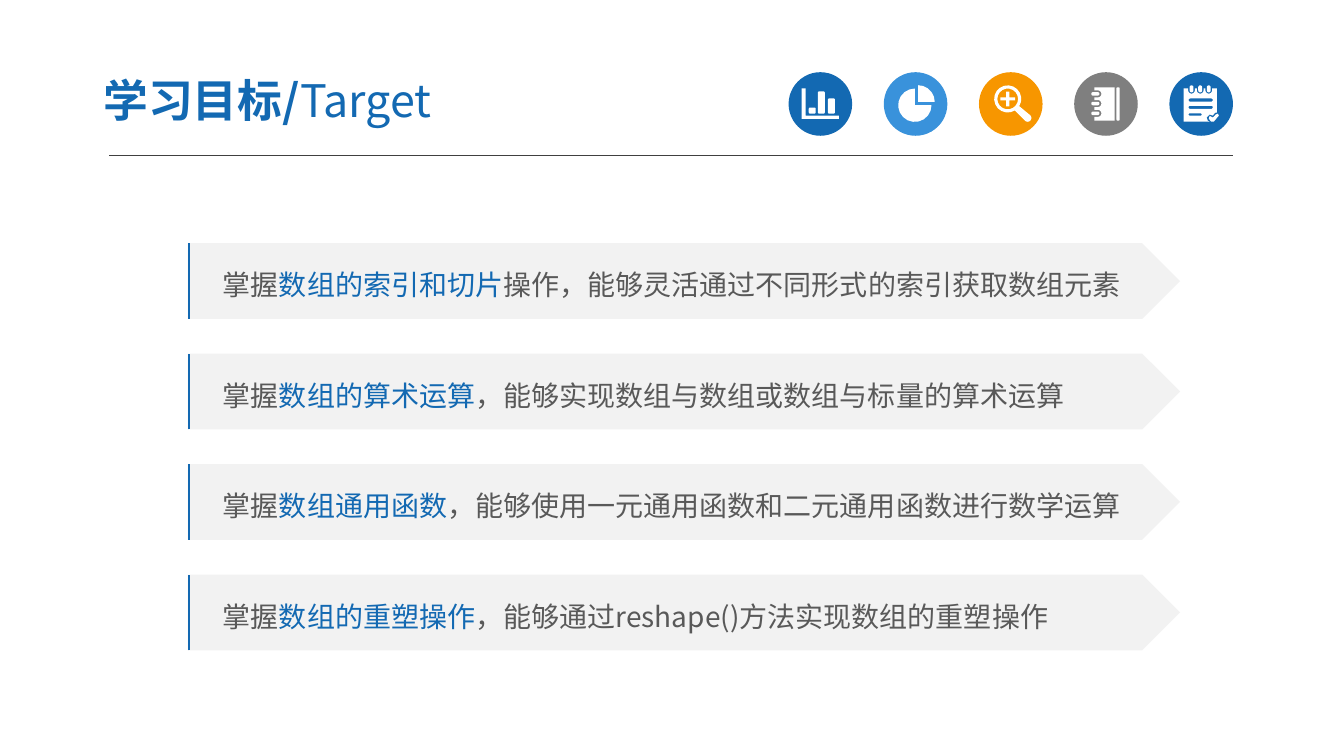
import math
import pptx
import pptx.util
import pptx.dml.color
import pptx.enum.shapes
import pptx.enum.text
import pptx.oxml.ns
import lxml.etree
from dataclasses import dataclass

Pt = pptx.util.Pt
SHAPE = pptx.enum.shapes.MSO_SHAPE
ALIGN = pptx.enum.text.PP_ALIGN
ANCHOR = pptx.enum.text.MSO_ANCHOR
color = pptx.dml.color.RGBColor.from_string


@dataclass(frozen=True)
class Theme:
    font: str = "Noto Sans CJK SC"
    title_size: int = 32
    body_size: int = 20
    blue: str = "1369B2"
    light_blue: str = "3992DB"
    orange: str = "F79600"
    gray: str = "7F7F7F"
    band: str = "F2F2F2"
    text: str = "595959"
    rule: str = "404040"
    white: str = "FFFFFF"


theme = Theme()


def arc(center_x, center_y, radius, start, end):
    """Points along a circle, in degrees clockwise from the right."""
    steps = max(2, math.ceil(abs(end - start) / 20))
    angles = [math.radians(start + (end - start) * step / steps) for step in range(steps + 1)]
    return [(center_x + radius * math.cos(angle), center_y + radius * math.sin(angle))
            for angle in angles]


def bar(left, top, width, height, radius):
    """Outline of a rounded rectangle."""
    near_x, far_x = left + radius, left + width - radius
    near_y, far_y = top + radius, top + height - radius
    return (arc(near_x, near_y, radius, 180, 270) + arc(far_x, near_y, radius, 270, 360)
            + arc(far_x, far_y, radius, 0, 90) + arc(near_x, far_y, radius, 90, 180))


presentation = pptx.Presentation()
presentation.slide_width, presentation.slide_height = Pt(960), Pt(540)
slide = presentation.slides.add_slide(presentation.slide_layouts[5])
filled_shapes = []

# Title
title = slide.shapes.title
title_box = {"left": 64.4, "top": 45.4, "width": 376, "height": 51.8}
for name, value in title_box.items():
    setattr(title, name, Pt(value))
title_frame = {
    "margin_left": Pt(9.4), "margin_right": Pt(9.4),
    "margin_top": Pt(5), "margin_bottom": Pt(5),
    "vertical_anchor": ANCHOR.MIDDLE, "word_wrap": True,
    "auto_size": pptx.enum.text.MSO_AUTO_SIZE.NONE,
}
for name, value in title_frame.items():
    setattr(title.text_frame, name, value)
heading = title.text_frame.paragraphs[0]
heading.alignment = ALIGN.LEFT
runs = [
    (heading, "学习目标/", theme.title_size, theme.blue, True),
    (heading, "Target", theme.title_size, theme.blue, False),
]

# Icon outlines, measured from the corner of the disc; an outline inside another is a hole
chart = [
    [(9.4, 11.5), (12.1, 11.5), (12.1, 31), (36, 31), (36, 33.3), (9.4, 33.3)],
    bar(14.4, 25.2, 5, 4.4, 1),
    bar(20.9, 13.7, 5, 15.9, 1),
    bar(28.1, 18.7, 5, 10.9, 1),
]
pie = [
    [(22.2, 23.6)] + arc(22.2, 23.6, 11.9, 0, 270),
    [(24.5, 21.2)] + arc(24.5, 21.2, 11.9, 270, 360),
]
lens_x, lens_y, long, thin = 20.5, 19.1, 5.3, 1.1
plus = [(-thin, -long), (thin, -long), (thin, -thin), (long, -thin), (long, thin), (thin, thin),
        (thin, long), (-thin, long), (-thin, thin), (-long, thin), (-long, -thin), (-thin, -thin)]
magnifier = [
    arc(lens_x, lens_y, 9.7, 58, 392) + arc(34.7, 32.7, 2.7, -45, 135),
    arc(lens_x, lens_y, 7.4, 0, 360),
    [(lens_x + x, lens_y + y) for x, y in plus],
]
cover = [(14.4, 10.8), (28.8, 10.8), (28.8, 34.6), (14.4, 34.6)]
notebook = [cover, bar(30.2, 10.8, 2.2, 23.8, 0.7)]
for middle in (29.4, 22.4, 15.5):
    cover += [(14.4, middle + 2.5)] + arc(16.9, middle, 2.5, 90, -90) + [(14.4, middle - 2.5)]
    notebook.append(bar(12.2, middle - 1.25, 5.8, 2.5, 1.25))
page = [(10.1, 35.3), (10.1, 11.5)]
notepad = [page]
for middle in (15.8, 22, 28.1):
    page += [(middle - 2.4, 11.5)] + arc(middle, 12.9, 2.4, 180, 0) + [(middle + 2.4, 11.5)]
    notepad.append(bar(middle - 1.4, 9.4, 2.8, 5, 1.4))
page += [(33.9, 11.5), (33.9, 28.8), (32.6, 29), (31, 31), (28.8, 30.2),
         (26.6, 32.4), (27.4, 34.6), (28.8, 35.3)]
notepad += [
    bar(13.7, 18.8, 17.3, 2.2, 1.1),
    bar(13.7, 24, 17.3, 2.2, 1.1),
    bar(13.7, 29.4, 9.4, 1.6, 0.8),
    [(28.1, 33.1), (28.8, 31.2), (31, 32.4), (33.1, 30.2), (34.6, 29.6),
     (35.3, 31), (31.7, 35.3), (29.8, 35.3)],
]

icons = [
    (theme.blue, chart),
    (theme.light_blue, pie),
    (theme.orange, magnifier),
    (theme.gray, notebook),
    (theme.blue, notepad),
]
for index, (disc_color, outlines) in enumerate(icons):
    left, top = 563.3 + 68 * index, 51.6
    disc = slide.shapes.add_shape(SHAPE.OVAL, Pt(left), Pt(top), Pt(45.4), Pt(45.4))
    builder = None
    for outline in outlines:
        points = [(Pt(left + x), Pt(top + y)) for x, y in outline]
        if builder is None:
            builder = slide.shapes.build_freeform(*points[0])
        else:
            builder.move_to(*points[0])
        builder.add_line_segments(points[1:], close=True)
    filled_shapes += [(disc, disc_color), (builder.convert_to_shape(), theme.white)]

# Learning goals
goals = [
    ("数组的索引和切片", "操作，能够灵活通过不同形式的索引获取数组元素"),
    ("数组的算术运算", "，能够实现数组与数组或数组与标量的算术运算"),
    ("数组通用函数", "，能够使用一元通用函数和二元通用函数进行数学运算"),
    ("数组的重塑操作", "，能够通过reshape()方法实现数组的重塑操作"),
]
goal_height = 54.1
lines = []
for index, (topic, detail) in enumerate(goals):
    top = 173.7 + 78.9 * index
    band = slide.shapes.add_shape(SHAPE.PENTAGON, Pt(134.2), Pt(top), Pt(708.7), Pt(goal_height))
    filled_shapes.append((band, theme.band))
    band_frame = {"margin_left": Pt(25), "word_wrap": True, "vertical_anchor": ANCHOR.MIDDLE}
    for name, value in band_frame.items():
        setattr(band.text_frame, name, value)
    paragraph = band.text_frame.paragraphs[0]
    paragraph.alignment = ALIGN.LEFT
    paragraph.line_spacing = 1.2
    for text, fill in (("掌握", theme.text), (topic, theme.blue), (detail, theme.text)):
        runs.append((paragraph, text, theme.body_size, fill, False))
    accent_builder = slide.shapes.build_freeform(Pt(134.8), Pt(top + goal_height))
    accent_builder.add_line_segments([(Pt(134.8), Pt(top))], close=False)
    accent_builder.move_to(Pt(145.6), Pt(top))
    accent = accent_builder.convert_to_shape()
    accent.shadow.inherit = False
    accent.fill.background()
    lines.append((accent, theme.blue, 1.5))

# Title rule
rule = slide.shapes.add_connector(pptx.enum.shapes.MSO_CONNECTOR.STRAIGHT,
                                  Pt(78), Pt(111.4), Pt(880.6), Pt(111.4))
lxml.etree.SubElement(rule._element.spPr, pptx.oxml.ns.qn("a:effectLst"))
lines.append((rule, theme.rule, 0.75))

# Formatting
for shape, fill in filled_shapes:
    shape.shadow.inherit = False
    shape.fill.solid()
    shape.fill.fore_color.rgb = color(fill)
    shape.line.fill.background()
for line_shape, line_color, width in lines:
    line_shape.line.color.rgb = color(line_color)
    line_shape.line.width = Pt(width)
for paragraph, text, size, fill, bold in runs:
    run = paragraph.add_run()
    run.text = text
    for name, value in {"name": theme.font, "size": Pt(size), "bold": bold}.items():
        setattr(run.font, name, value)
    run.font.color.rgb = color(fill)
    east_asian = lxml.etree.SubElement(run.font._element, pptx.oxml.ns.qn("a:ea"))
    east_asian.set("typeface", theme.font)

presentation.save("out.pptx")
